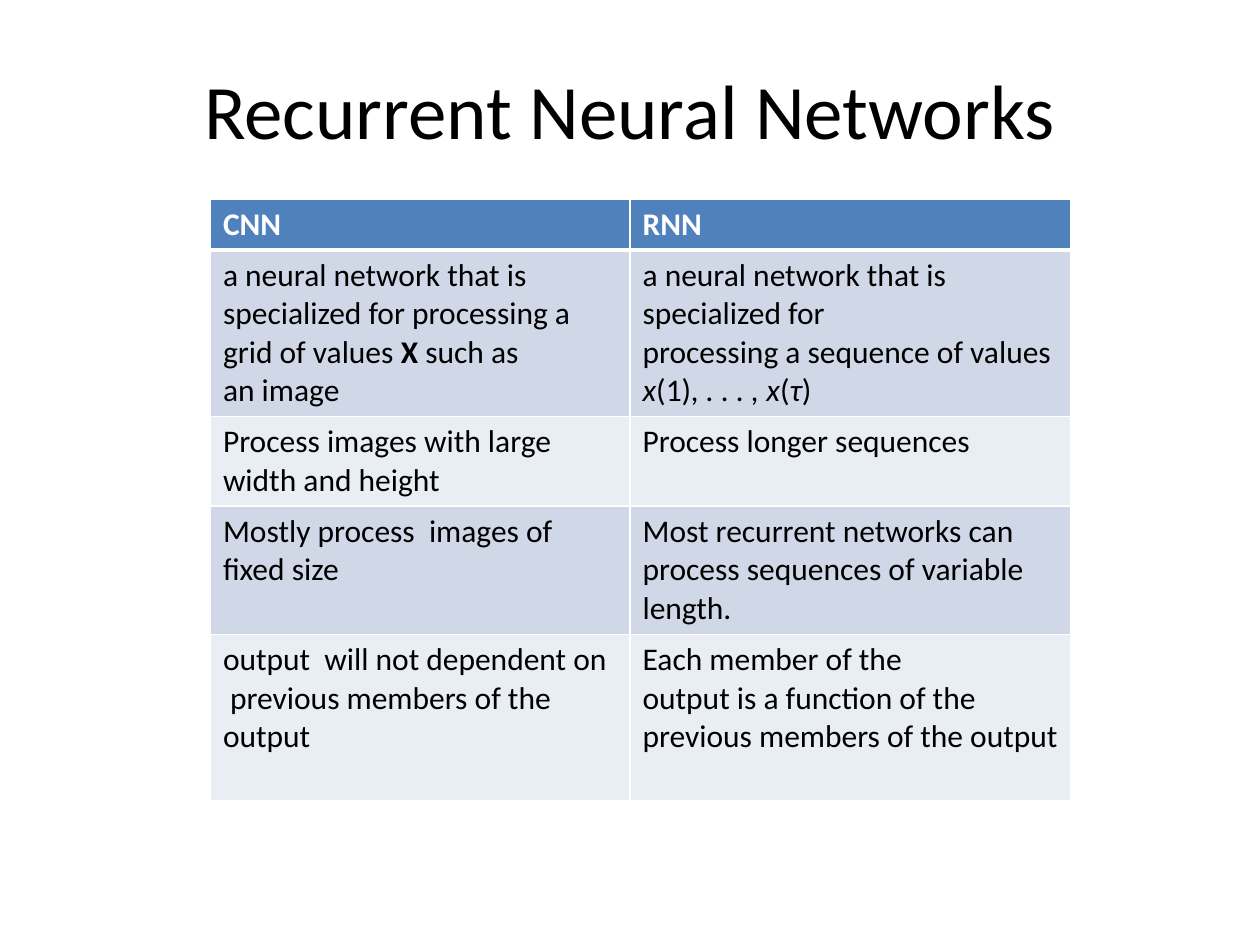
from lxml.etree import SubElement as Sub
from pptx import Presentation
from pptx.dml.color import RGBColor as Color
from pptx.enum.text import MSO_ANCHOR as Anchor, PP_ALIGN as Align
from pptx.oxml.ns import qn
from pptx.util import Inches, Pt

FONT = "Calibri"
WHITE, BLACK = "FFFFFF", "000000"
HEAD, BANDS = "4F81BD", ("E9EDF4", "D0D8E8")
COLS = (3.33, 3.5)
ROWS = (0.4, 1.32, 0.71, 1.02, 1.32)
CELLS = [
    [["CNN"], ["RNN"]],
    [
        [
            [
                ("a neural network that is specialized for processing a grid of values ", ""),
                ("X ", "b"),
                ("such as", ""),
            ],
            "an image",
        ],
        [
            "a neural network that is specialized for",
            [
                ("processing a sequence of values ", ""),
                ("x", "i"),
                ("(1)", ""),
                (", . . . , x", "i"),
                ("(", ""),
                ("τ", "i"),
                (")", ""),
            ],
        ],
    ],
    [["Process images with large width and height"], ["Process longer sequences"]],
    [
        ["Mostly process  images of fixed size"],
        ["Most recurrent networks can process sequences of variable", "length."],
    ],
    [
        ["output  will not dependent on   previous members of the output"],
        ["Each member of the", "output is a function of the previous members of the output"],
    ],
]


def paint(code):
    """Turn a hex string into a colour."""
    return Color.from_string(code)


def style(run, size, tint, bold=False, slant=False):
    """Format one run."""
    font = run.font
    font.name, font.size = FONT, Pt(size)
    font.bold, font.italic = bold, slant
    font.color.rgb = paint(tint)


def add_title(slide, text):
    """Place and format the title."""
    title = slide.shapes.title
    title.left, title.top = Inches(0.5), Inches(0.3)
    title.width, title.height = Inches(9), Inches(1.12)
    frame = title.text_frame
    frame.text = text
    frame.vertical_anchor = Anchor.MIDDLE
    para = frame.paragraphs[0]
    para.alignment = Align.CENTER
    style(para.runs[0], 44, BLACK)


def add_edge(cell, side, width):
    """Draw a white border on one side of a cell."""
    props = cell._tc.get_or_add_tcPr()
    line = Sub(props, qn(f"a:ln{side}"), w=str(Pt(width)))
    Sub(Sub(line, qn("a:solidFill")), qn("a:srgbClr"), val=WHITE)


def fill_cell(cell, paras, row):
    """Write a cell and set its borders and fill."""
    for side in "LRTB":
        thick = (row, side) in ((0, "B"), (1, "T"))
        add_edge(cell, side, 3 if thick else 1)
    cell.fill.solid()
    cell.fill.fore_color.rgb = paint(BANDS[row % 2] if row else HEAD)
    frame = cell.text_frame
    for num, parts in enumerate(paras):
        para = frame.add_paragraph() if num else frame.paragraphs[0]
        for text, mark in [(parts, "")] if isinstance(parts, str) else parts:
            run = para.add_run()
            run.text = text
            bold = row == 0 or mark == "b"
            style(run, 18, BLACK if row else WHITE, bold, mark == "i")


def add_grid(slide):
    """Build the comparison table."""
    size = Inches(sum(COLS)), Inches(sum(ROWS))
    table = slide.shapes.add_table(
        len(ROWS), len(COLS), Inches(1.67), Inches(1.58), *size
    ).table
    for col, width in zip(table.columns, COLS):
        col.width = Inches(width)
    for row, height in enumerate(ROWS):
        table.rows[row].height = Inches(height)
        for col, paras in enumerate(CELLS[row]):
            fill_cell(table.cell(row, col), paras, row)


def main():
    """Build and save the slide."""
    deck = Presentation()
    deck.slide_width, deck.slide_height = Inches(10), Inches(7.5)
    slide = deck.slides.add_slide(deck.slide_layouts[5])
    add_title(slide, "Recurrent Neural Networks")
    add_grid(slide)
    deck.save("out.pptx")


if __name__ == "__main__":
    main()
